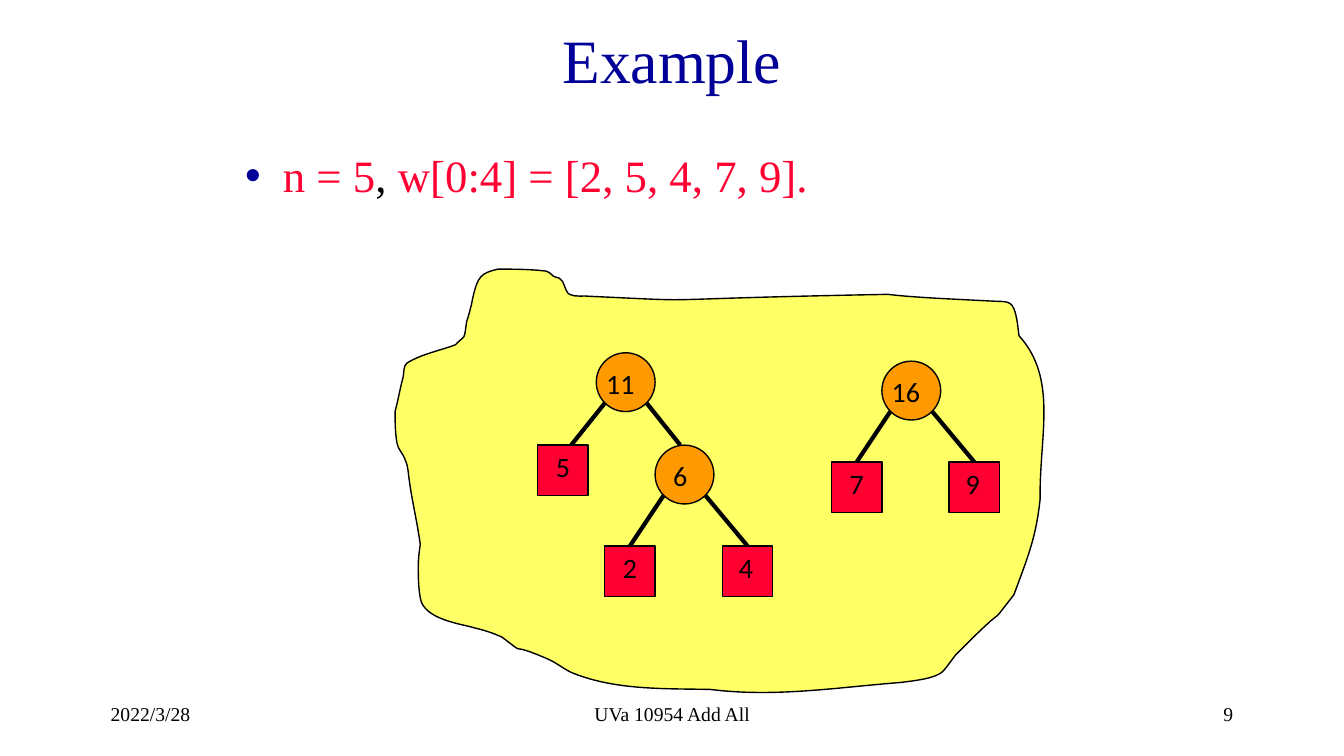
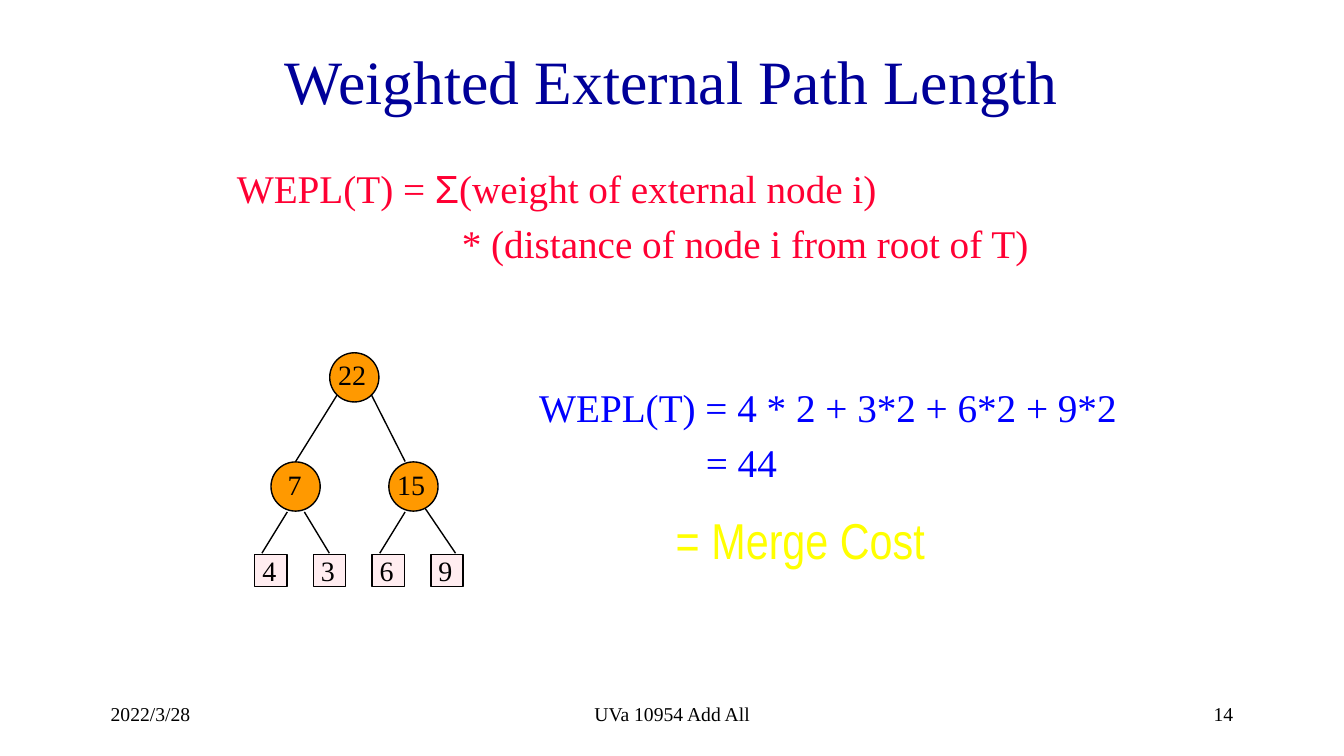
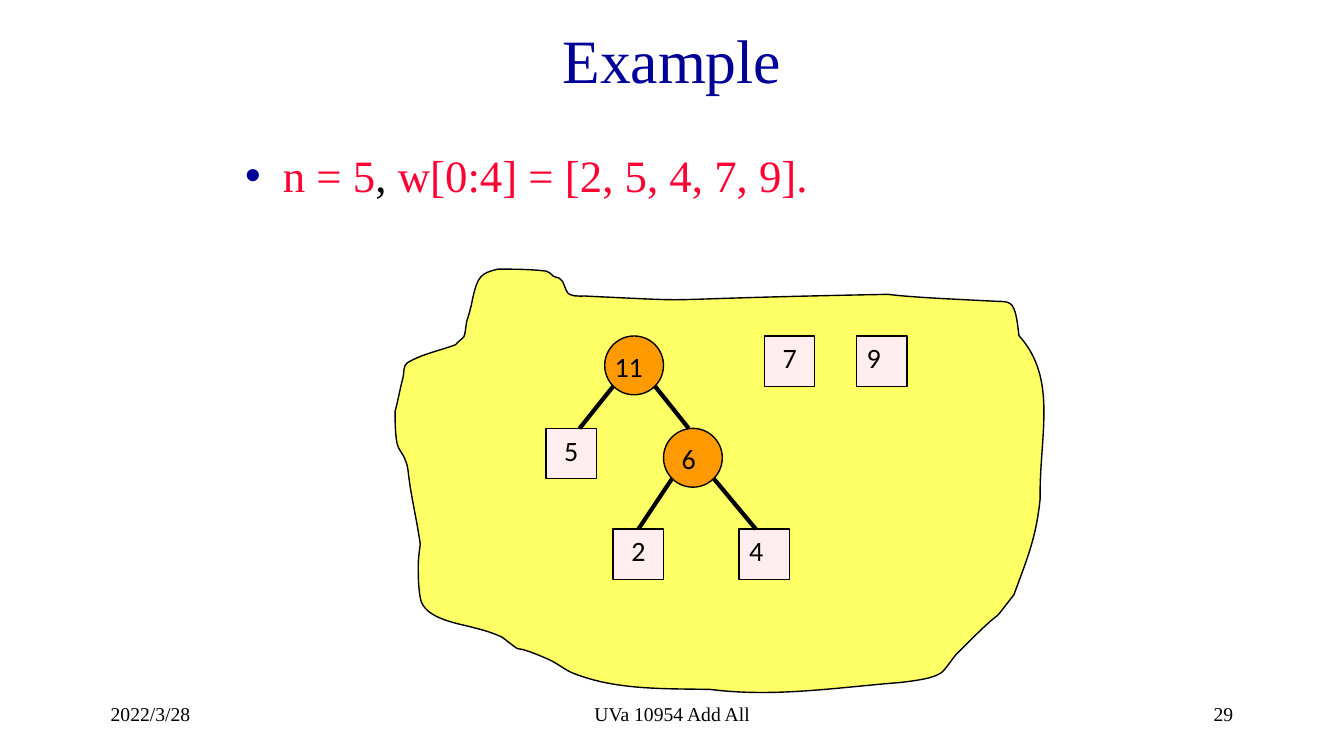
from dataclasses import dataclass

from lxml.etree import SubElement
from pptx import Presentation
from pptx.dml.color import RGBColor
from pptx.enum.shapes import MSO_CONNECTOR, MSO_SHAPE
from pptx.enum.text import MSO_ANCHOR, PP_ALIGN
from pptx.oxml.ns import qn
from pptx.util import Cm, Pt


@dataclass(frozen=True)
class Theme:
    """Colours, fonts and type sizes shared by the slides."""
    navy: RGBColor = RGBColor.from_string("000099")
    red: RGBColor = RGBColor.from_string("FF0033")
    blue: RGBColor = RGBColor.from_string("0000FF")
    black: RGBColor = RGBColor.from_string("000000")
    yellow: RGBColor = RGBColor.from_string("FFFF00")
    cloud: RGBColor = RGBColor.from_string("FFFF66")
    orange: RGBColor = RGBColor.from_string("FF9900")
    pink: RGBColor = RGBColor.from_string("FFEDF0")
    serif: str = "Times New Roman"
    sans: str = "Arial"
    narrow: str = "Arial Narrow"
    label_font: str = "Calibri"
    title: int = 44
    accent: int = 36
    bullet: int = 32
    formula: int = 28
    label: int = 20
    footer: int = 14


@dataclass(frozen=True)
class Node:
    """A tree node in grid units; foot is where its branch arrives."""
    label: str
    x: int
    y: int
    children: tuple = ()
    foot: int = 3
    pad: float = 0.46


THEME = Theme()
GRID = 2.54 / 12
CIRCLE, SQUARE = 7, 6
CLOUD_UNIT = Cm(0.0254)
CLOUD_START = (452, 342)
CLOUD_CURVES = [
    (436, 348, 419, 351, 404, 360), (400, 363, 401, 369, 400, 374),
    (397, 385, 395, 397, 392, 408), (392, 419, 392, 430, 394, 440),
    (395, 446, 400, 450, 402, 456), (405, 462, 405, 470, 406, 476),
    (409, 498, 414, 518, 417, 540), (416, 547, 415, 554, 415, 561),
    (415, 572, 415, 582, 417, 593), (420, 615, 459, 619, 471, 623),
    (480, 625, 489, 628, 498, 632), (527, 654, 498, 634, 544, 654),
    (553, 658, 561, 665, 569, 668), (612, 685, 661, 683, 705, 684),
    (769, 692, 830, 682, 894, 677), (901, 676, 924, 674, 933, 668),
    (937, 666, 946, 652, 948, 650), (1010, 587, 974, 631, 1006, 590),
    (1020, 552, 1028, 533, 1032, 495), (1031, 433, 1050, 376, 1011, 333),
    (1010, 327, 1009, 305, 1002, 301), (999, 299, 994, 299, 990, 299),
    (970, 298, 951, 297, 931, 296), (915, 295, 897, 294, 881, 292),
    (618, 297, 716, 300, 586, 294), (579, 293, 571, 295, 565, 292),
    (560, 289, 560, 278, 555, 276), (553, 275, 550, 275, 549, 274),
    (546, 272, 545, 269, 542, 269), (526, 267, 510, 267, 494, 267),
    (477, 271, 474, 274, 469, 296), (468, 299, 468, 303, 467, 305),
    (466, 310, 463, 319, 463, 319), (460, 340, 462, 331, 452, 342),
]


def style(run, size, color, font=THEME.serif):
    """Format one run."""
    run.font.name, run.font.size = font, Pt(size)
    run.font.color.rgb = color


def add_text(slide, box, text, size, color, align=PP_ALIGN.LEFT,
             anchor=MSO_ANCHOR.TOP, font=THEME.serif):
    """Add a text box with a single formatted paragraph."""
    frame = slide.shapes.add_textbox(*map(Cm, box)).text_frame
    frame.word_wrap, frame.vertical_anchor = True, anchor
    frame.text = text
    frame.paragraphs[0].alignment = align
    style(frame.paragraphs[0].runs[0], size, color, font)
    return frame


def add_run(paragraph, text, size, color, font=THEME.serif):
    """Append a formatted run."""
    run = paragraph.add_run()
    run.text = text
    style(run, size, color, font)


def add_indented_line(frame, text, indent, size, color):
    """Append a paragraph that starts at a left indent in centimetres."""
    paragraph = frame.add_paragraph()
    paragraph.text = text
    paragraph.space_before = Pt(5.8)
    paragraph._p.get_or_add_pPr().set("marL", str(Cm(indent)))
    style(paragraph.runs[0], size, color)


def add_bullet(paragraph, color):
    """Give a paragraph a hanging coloured bullet."""
    properties = paragraph._p.get_or_add_pPr()
    properties.set("marL", str(Cm(0.95)))
    properties.set("indent", str(Cm(-0.95)))
    bullet_color = SubElement(properties, qn("a:buClr"))
    SubElement(bullet_color, qn("a:srgbClr")).set("val", str(color))
    SubElement(properties, qn("a:buFont")).set("typeface", THEME.sans)
    SubElement(properties, qn("a:buChar")).set("char", "•")


def paint(shape, fill):
    """Give a shape a flat fill and a thin black outline."""
    shape.shadow.inherit = False
    shape.fill.solid()
    shape.fill.fore_color.rgb = fill
    shape.line.color.rgb = THEME.black
    shape.line.width = Pt(1)


def add_node(slide, preset, box, label, fill, font, pad, top):
    """Draw a labelled tree node."""
    node = slide.shapes.add_shape(preset, *map(Cm, box))
    paint(node, fill)
    frame = node.text_frame
    frame.word_wrap, frame.vertical_anchor = True, MSO_ANCHOR.TOP
    frame.margin_left, frame.margin_top = Cm(pad), Cm(top)
    frame.margin_right = frame.margin_bottom = 0
    frame.text = label
    frame.paragraphs[0].alignment = PP_ALIGN.LEFT
    style(frame.paragraphs[0].runs[0], THEME.label, THEME.black, font)
    return node


def add_circle(slide, x, y, size, label, font, top):
    """Draw an internal node, with its label placed by its digits."""
    pad = 0.24 if len(label) == 1 else 0.03
    return add_node(slide, MSO_SHAPE.OVAL, (x, y, size, size), label,
                    THEME.orange, font, pad, top)


def add_branch(slide, ends, width):
    """Draw a straight black branch."""
    branch = slide.shapes.add_connector(MSO_CONNECTOR.STRAIGHT, *map(Cm, ends))
    branch.line.color.rgb = THEME.black
    branch.line.width = Pt(width)
    SubElement(branch._element.spPr, qn("a:effectLst"))
    return branch


def draw_tree(slide, node, leaf_fill):
    """Draw a node and everything under it on the grid."""
    x, y = node.x * GRID, node.y * GRID
    if not node.children:
        side = SQUARE * GRID
        return add_node(slide, MSO_SHAPE.RECTANGLE, (x, y, side, side),
                        node.label, leaf_fill, THEME.label_font, node.pad, 0.12)
    circle = add_circle(slide, x, y, CIRCLE * GRID, node.label,
                        THEME.label_font, 0.12)
    for child, shift in zip(node.children, (1, 6)):
        child_shape = draw_tree(slide, child, leaf_fill)
        ends = (node.x + shift, node.y + 6, child.x + child.foot, child.y)
        branch = add_branch(slide, [end * GRID for end in ends], 3)
        if not child.children and child.foot == SQUARE / 2:
            branch.end_connect(child_shape, 0)
    return circle


def add_cloud(slide):
    """Draw the yellow curved outline that holds the trees."""
    builder = slide.shapes.build_freeform(*CLOUD_START, scale=CLOUD_UNIT)
    builder.add_line_segments(
        [curve[i:i + 2] for curve in CLOUD_CURVES for i in (0, 2, 4)], close=True)
    cloud = builder.convert_to_shape()
    segments = list(cloud._element.iter(qn("a:lnTo")))
    for first in range(0, len(segments), 3):
        segment, *others = segments[first:first + 3]
        segment.tag = qn("a:cubicBezTo")
        for other in others:
            segment.append(other[0])
            other.getparent().remove(other)
    paint(cloud, THEME.cloud)


def add_slide(deck, title, title_box, number):
    """Start a title-only slide with its footer."""
    slide = deck.slides.add_slide(deck.slide_layouts[5])
    heading = slide.shapes.title
    heading.left, heading.top, heading.width, heading.height = map(Cm, title_box)
    heading.text_frame.text = title
    heading.text_frame.vertical_anchor = MSO_ANCHOR.MIDDLE
    heading.text_frame.paragraphs[0].alignment = PP_ALIGN.CENTER
    style(heading.text_frame.paragraphs[0].runs[0], THEME.title, THEME.navy)
    for left, width, text, align in (
            (2.54, 7.06, "2022/3/28", PP_ALIGN.LEFT),
            (11.58, 10.72, "UVa 10954 Add All", PP_ALIGN.CENTER),
            (24.27, 7.06, number, PP_ALIGN.RIGHT)):
        add_text(slide, (left, 17.36, width, 1.27), text, THEME.footer,
                 THEME.black, align, MSO_ANCHOR.MIDDLE)
    return slide


def example_slide(deck, number, trees, leaf_fill):
    """Build one step of the merging example."""
    slide = add_slide(deck, "Example", (6.14, 0, 21.59, 2.97), number)
    add_cloud(slide)
    frame = add_text(slide, (5.93, 3.6, 21.59, 1.69), "n = 5", THEME.bullet, THEME.red)
    weights = frame.paragraphs[0]
    add_bullet(weights, THEME.navy)
    add_run(weights, ", ", THEME.bullet, THEME.black)
    add_run(weights, "w[0:4] = [2, 5, 4, 7, 9].", THEME.bullet, THEME.red)
    for tree in trees:
        draw_tree(slide, tree, leaf_fill)


def path_length_slide(deck):
    """Build the slide on weighted external path length."""
    slide = add_slide(deck, "Weighted External Path Length",
                      (2.54, 0.42, 28.79, 3.18), "14")
    definition = add_text(slide, (5.72, 4.02, 21.59, 3.18), "WEPL(T) = ",
                          THEME.formula, THEME.red)
    add_run(definition.paragraphs[0], "Σ", THEME.formula, THEME.red, THEME.sans)
    add_run(definition.paragraphs[0], "(weight of external node i)",
            THEME.formula, THEME.red)
    add_indented_line(definition, "* (distance of node i from root of T)", 5.67,
                      THEME.formula, THEME.red)
    for ends in ((8.51, 9.93, 7.45, 11.63), (9.35, 9.93, 10.21, 11.63),
                 (7.24, 12.9, 6.6, 13.94), (7.67, 12.9, 8.3, 13.94),
                 (10.21, 12.9, 9.57, 13.94), (10.62, 12.67, 11.48, 13.94)):
        add_branch(slide, ends, 1)
    for x, y, label in ((8.31, 8.89, "22"), (6.83, 11.64, "7"), (9.8, 11.64, "15")):
        add_circle(slide, x, y, 1.24, label, THEME.serif, -0.05)
    for index, label in enumerate("4369"):
        add_node(slide, MSO_SHAPE.RECTANGLE, (6.42 + 1.48 * index, 13.97, 0.81, 0.81),
                 label, THEME.pink, THEME.serif, 0.19, -0.03)
    result = add_text(slide, (13.34, 9.53, 15.45, 5.5),
                      "WEPL(T) = 4 * 2 + 3*2 + 6*2 + 9*2", THEME.formula, THEME.blue)
    add_indented_line(result, "= 44", 4.2, THEME.formula, THEME.blue)
    add_text(slide, (16.17, 12.7, 8, 1.58), "= Merge Cost", THEME.accent,
             THEME.yellow, PP_ALIGN.CENTER, font=THEME.narrow)


def main():
    """Build and save the deck."""
    deck = Presentation()
    deck.slide_width, deck.slide_height = Cm(33.87), Cm(19.05)
    six = Node("6", 78, 53, (Node("2", 72, 65), Node("4", 86, 65, pad=0.42)))
    eleven = Node("11", 71, 42, (Node("5", 64, 53, foot=4), six))
    sixteen = Node("16", 105, 43, (Node("7", 99, 55), Node("9", 113, 55, pad=0.42)))
    example_slide(deck, "9", (eleven, sixteen), THEME.red)
    path_length_slide(deck)
    six = Node("6", 79, 51, (Node("2", 73, 63), Node("4", 88, 63, foot=2, pad=0.25)))
    eleven = Node("11", 72, 40, (Node("5", 65, 51, foot=4), six))
    singles = (Node("7", 91, 40), Node("9", 102, 40, pad=0.25))
    example_slide(deck, "29", (eleven, *singles), THEME.pink)
    deck.save("out.pptx")


if __name__ == "__main__":
    main()
